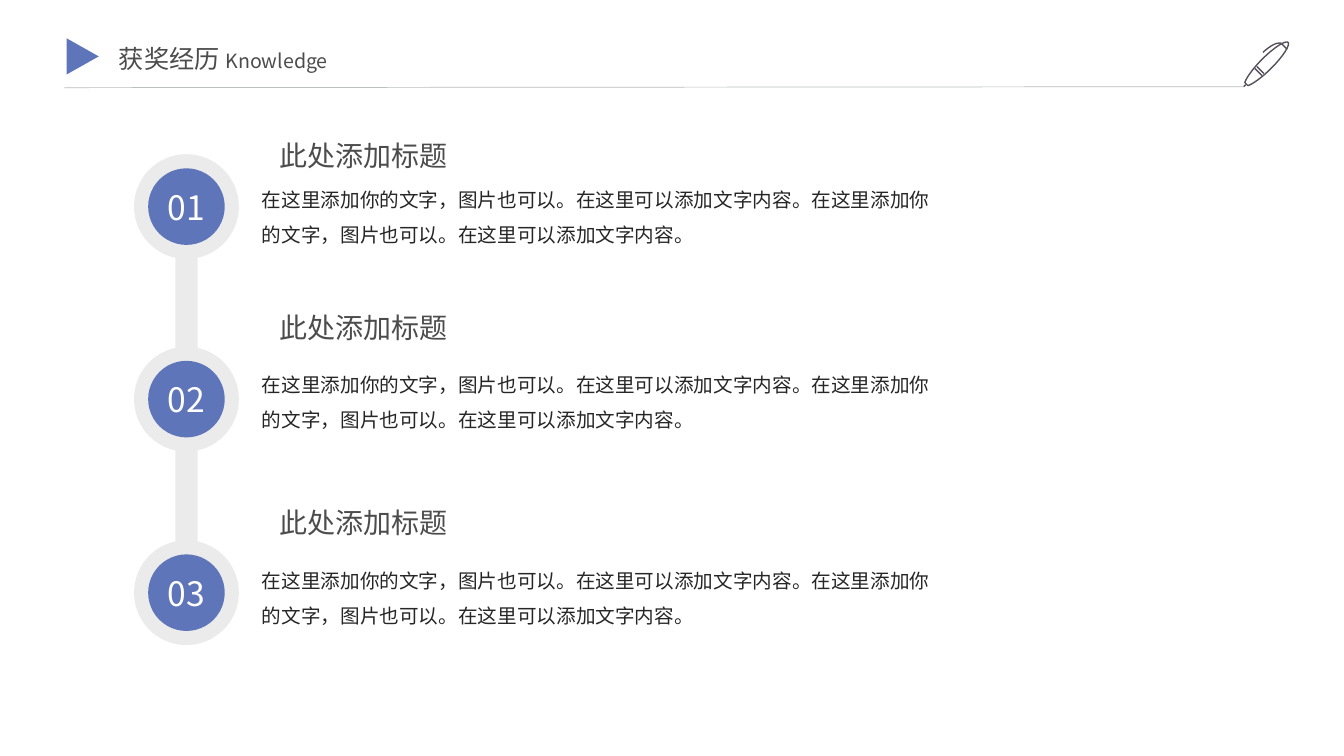
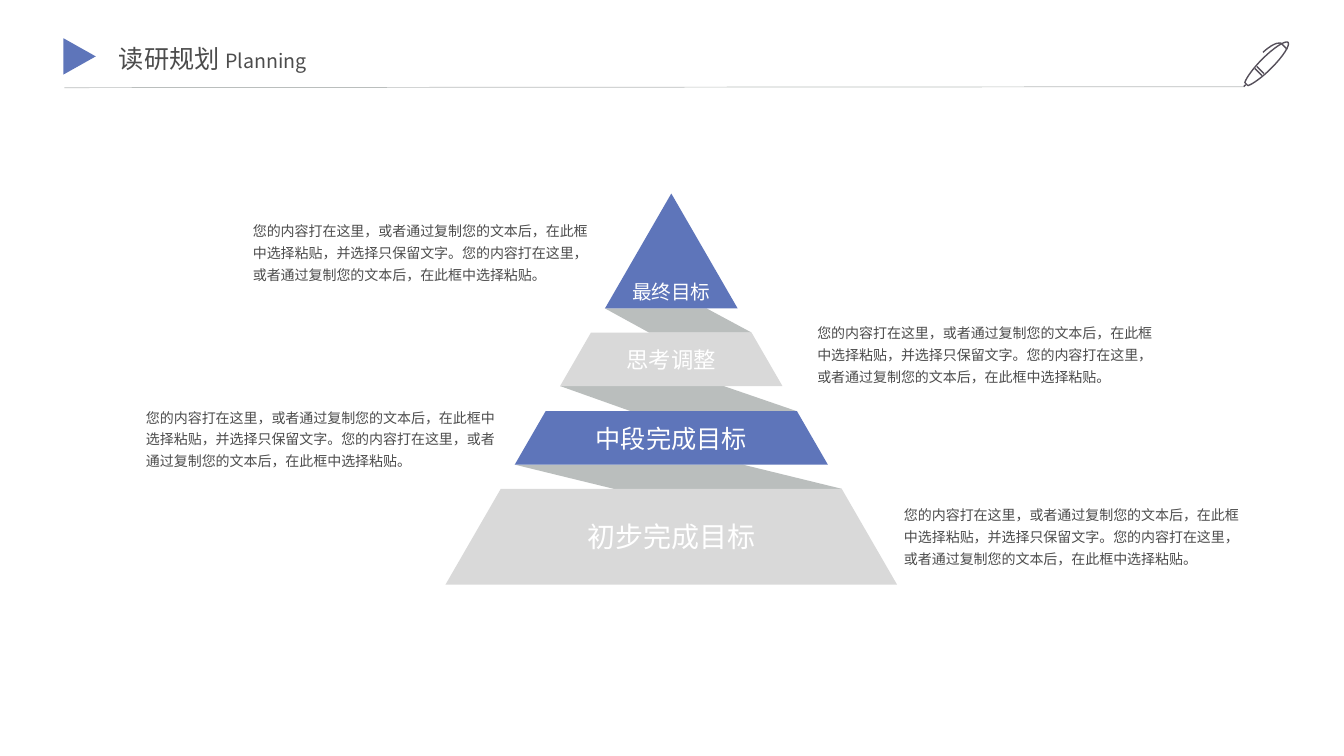
import math
from dataclasses import dataclass

import lxml.etree
import pptx
import pptx.dml.color
import pptx.enum.shapes
import pptx.enum.text
import pptx.oxml.ns
import pptx.util

Inches = pptx.util.Inches
Pt = pptx.util.Pt
RGBColor = pptx.dml.color.RGBColor
PP_ALIGN = pptx.enum.text.PP_ALIGN
ANCHOR = pptx.enum.text.MSO_ANCHOR
SHAPE = pptx.enum.shapes.MSO_SHAPE
qn = pptx.oxml.ns.qn

FONT = "Noto Sans CJK SC"
BLUE = RGBColor(0x5E, 0x75, 0xBA)
LIGHT_GRAY = RGBColor(0xD9, 0xD9, 0xD9)
RIBBON_GRAY = RGBColor(0xBA, 0xBE, 0xBD)
PEN_GRAY = RGBColor(0x56, 0x50, 0x5B)
TITLE_GRAY = RGBColor(0x4C, 0x4C, 0x4C)
BODY_GRAY = RGBColor(0x26, 0x26, 0x26)
WHITE = RGBColor(0xFF, 0xFF, 0xFF)

Point = tuple[float, float]


@dataclass(frozen=True)
class Contour:
    """A start point, then three points for each cubic curve."""
    points: list[Point]
    closed: bool = False


def straight(start: Point, end: Point) -> Contour:
    return Contour([start, end, end, end])


PEN = [
    straight((12.52, 0.75), (12.45, 0.68)),
    straight((12.47, 0.66), (12.54, 0.73)),
    Contour([
        (12.78, 0.42),
        (12.75, 0.4), (12.64, 0.47), (12.52, 0.59),
        (12.43, 0.68), (12.36, 0.78), (12.35, 0.82),
        (12.38, 0.85), (12.38, 0.85), (12.38, 0.85),
        (12.42, 0.84), (12.52, 0.77), (12.61, 0.68),
        (12.73, 0.56), (12.8, 0.45), (12.78, 0.42),
    ], closed=True),
    straight((12.36, 0.84), (12.34, 0.86)),
    Contour([
        (12.77, 0.49),
        (12.77, 0.49), (12.74, 0.46), (12.71, 0.43),
        (12.71, 0.43), (12.66, 0.4), (12.53, 0.52),
    ]),
]

AWARD_HEADING = "此处添加标题"
AWARD_TEXT = "在这里添加你的文字，图片也可以。在这里可以添加文字内容。" * 2
GOAL_TEXT = (
    "您的内容打在这里，或者通过复制您的文本后，在此框中选择粘贴，并选择只保留文字。"
    "您的内容打在这里，或者通过复制您的文本后，在此框中选择粘贴。"
)

TIMELINE_X = 1.85
RING_RADIUS = 0.52
DISC_SIZE = 0.76
BAR_HALF = 0.11

APEX_X, APEX_Y = 6.66, 1.92
PYRAMID_SLOPE = math.tan(math.radians(30))


@dataclass(frozen=True)
class Award:
    number: str
    center_y: float
    heading_top: float
    text_top: float


@dataclass(frozen=True)
class Goal:
    label: str
    top: float
    bottom: float
    size: int
    color: RGBColor
    anchor: ANCHOR
    note_box: tuple[float, float, float]


@dataclass(frozen=True)
class Fold:
    """Inner corners of the ribbon between two tiers."""
    upper_x: float
    lower_x: float


AWARDS = [
    Award("01", 2.05, 1.32, 1.7),
    Award("02", 3.96, 3.03, 3.53),
    Award("03", 5.88, 4.97, 5.48),
]
GOALS = [
    Goal("最终目标", 1.92, 3.06, 14, BLUE, ANCHOR.BOTTOM, (2.41, 2.11, 3.62)),
    Goal("思考调整", 3.3, 3.83, 16, LIGHT_GRAY, ANCHOR.MIDDLE, (8.01, 3.12, 3.61)),
    Goal("中段完成目标", 4.08, 4.61, 18, BLUE, ANCHOR.MIDDLE, (1.35, 3.96, 3.66)),
    Goal("初步完成目标", 4.85, 5.8, 20, LIGHT_GRAY, ANCHOR.MIDDLE, (8.87, 4.93, 3.54)),
]
FOLDS = [Fold(7.01, 6.44), Fold(7.18, 6.26), Fold(7.37, 6.09)]


def apply_format(target, values: dict) -> None:
    for name, value in values.items():
        setattr(target, name, value)


def add_run(paragraph, text: str, size: float, color: RGBColor) -> None:
    run = paragraph.add_run()
    run.text = text
    run.font.color.rgb = color
    apply_format(run.font, {"name": FONT, "size": Pt(size), "bold": False})
    east_asian = lxml.etree.SubElement(run.font._element, qn("a:ea"))
    east_asian.set("typeface", FONT)


def write(shape, text: str, size: float, color: RGBColor, frame: dict, paragraph: dict) -> None:
    apply_format(shape.text_frame, {"word_wrap": True, **frame})
    first = shape.text_frame.paragraphs[0]
    apply_format(first, paragraph)
    add_run(first, text, size, color)


def add_text(slide, box: tuple[float, float, float, float], text: str, size: float,
             color: RGBColor, frame: dict, paragraph: dict) -> None:
    write(slide.shapes.add_textbox(*map(Inches, box)), text, size, color, frame, paragraph)


def fill_plain(shape, color: RGBColor) -> None:
    shape.shadow.inherit = False
    shape.fill.solid()
    shape.fill.fore_color.rgb = color
    shape.line.fill.background()


def add_outline(slide, contours: list[Contour]):
    builder = None
    for contour in contours:
        start, *others = [(Inches(x), Inches(y)) for x, y in contour.points]
        if builder is None:
            builder = slide.shapes.build_freeform(*start)
        else:
            builder.move_to(*start)
        builder.add_line_segments(others, close=contour.closed)
    return builder.convert_to_shape()


def add_polygon(slide, corners: list[Point], color: RGBColor):
    polygon = add_outline(slide, [Contour(corners, closed=True)])
    fill_plain(polygon, color)
    return polygon


def add_curves(slide, contours: list[Contour]):
    """Draw an outline whose segments, three by three, become cubic curves."""
    outline = add_outline(slide, contours)
    segments = list(outline.element.spPr.iter(qn("a:lnTo")))
    for index in range(0, len(segments), 3):
        first, *rest = segments[index:index + 3]
        first.tag = qn("a:cubicBezTo")
        for segment in rest:
            first.append(segment[0])
            segment.getparent().remove(segment)
    return outline


def add_pen(slide) -> None:
    pen = add_curves(slide, PEN)
    pen.shadow.inherit = False
    pen.fill.background()
    pen.line.color.rgb = PEN_GRAY
    pen.line.width = Pt(1)


def add_header(deck, title: str, subtitle: str, width: float, marker_left: float):
    """Add a slide with its title, rule, pen and marker."""
    slide = deck.slides.add_slide(deck.slide_layouts[5])
    heading = slide.shapes.title
    apply_format(heading, {"left": Inches(1.08), "top": Inches(0.38),
                           "width": Inches(width), "height": Inches(0.4)})
    write(heading, title + " ", 18, TITLE_GRAY,
          {"auto_size": pptx.enum.text.MSO_AUTO_SIZE.NONE, "vertical_anchor": ANCHOR.TOP},
          {"alignment": PP_ALIGN.LEFT})
    add_run(heading.text_frame.paragraphs[0], subtitle, 14, TITLE_GRAY)

    rule = slide.shapes.add_connector(
        pptx.enum.shapes.MSO_CONNECTOR.STRAIGHT,
        *map(Inches, (0.64, 0.87, 12.34, 0.86)))
    rule.line.color.rgb = RIBBON_GRAY
    rule.line.width = Pt(0.5)
    lxml.etree.SubElement(rule.element.spPr, qn("a:effectLst"))

    add_pen(slide)
    marker = slide.shapes.add_shape(
        SHAPE.ISOSCELES_TRIANGLE, *map(Inches, (marker_left, 0.4, 0.36, 0.32)))
    marker.rotation = 90
    fill_plain(marker, BLUE)
    return slide


def arc(center_y: float, begin: float, end: float) -> list[Point]:
    """Four cubic points of a ring arc, with angles running clockwise from the top."""
    handle = 4 / 3 * math.tan((end - begin) / 4)

    def ring_point(angle: float, pull: float) -> Point:
        x = math.sin(angle) + pull * math.cos(angle)
        y = -math.cos(angle) + pull * math.sin(angle)
        return RING_RADIUS * x, center_y + RING_RADIUS * y

    return [ring_point(begin, 0), ring_point(begin, handle),
            ring_point(end, -handle), ring_point(end, 0)]


def timeline_outline(centers: list[float]) -> Contour:
    """Rings joined by bars: the right half, then its mirror image."""
    joint = math.asin(BAR_HALF / RING_RADIUS)
    half: list[Point] = []
    for index, center in enumerate(centers):
        begin = joint if index else 0
        end = math.pi - joint if index < len(centers) - 1 else math.pi
        upper = arc(center, begin, math.pi / 2)
        if half:
            half += [half[-1], upper[0]]
        half += upper + arc(center, math.pi / 2, end)[1:]
    right = [(TIMELINE_X + x, y) for x, y in half]
    left = [(TIMELINE_X - x, y) for x, y in reversed(half)]
    return Contour(right + left[1:], closed=True)


def add_awards(deck) -> None:
    slide = add_header(deck, "获奖经历", "Knowledge", 2.37, 0.64)
    track = add_curves(slide, [timeline_outline([award.center_y for award in AWARDS])])
    fill_plain(track, LIGHT_GRAY)
    track_color = track.element.spPr.find(".//" + qn("a:srgbClr"))
    lxml.etree.SubElement(track_color, qn("a:alpha")).set("val", "50000")

    no_margins = {f"margin_{side}": 0 for side in ("left", "top", "right", "bottom")}
    for award in AWARDS:
        disc = slide.shapes.add_shape(SHAPE.OVAL, *map(Inches, (
            TIMELINE_X - DISC_SIZE / 2, award.center_y - DISC_SIZE / 2, DISC_SIZE, DISC_SIZE)))
        fill_plain(disc, BLUE)
        write(disc, award.number, 24, WHITE,
              {"vertical_anchor": ANCHOR.MIDDLE, **no_margins}, {"alignment": PP_ALIGN.CENTER})
    for award in AWARDS:
        add_text(slide, (2.5, award.text_top, 6.83, 0.81), AWARD_TEXT, 14, BODY_GRAY,
                 {}, {"line_spacing": 1.5})
        add_text(slide, (2.67, award.heading_top, 1.87, 0.44), AWARD_HEADING, 20, TITLE_GRAY,
                 {"word_wrap": False}, {"alignment": PP_ALIGN.CENTER})


def pyramid_edges(y: float) -> Point:
    """Left and right x of the pyramid at height y."""
    half = (y - APEX_Y) * PYRAMID_SLOPE
    return APEX_X - half, APEX_X + half


def add_plan(deck) -> None:
    slide = add_header(deck, "读研规划", "Planning", 2.1, 0.61)
    for upper, lower, fold in zip(GOALS, GOALS[1:], FOLDS):
        add_polygon(slide, [
            (pyramid_edges(upper.bottom)[0], upper.bottom),
            (fold.upper_x, upper.bottom),
            (pyramid_edges(lower.top)[1], lower.top),
            (fold.lower_x, lower.top),
        ], RIBBON_GRAY)
    for goal in GOALS:
        add_text(slide, (*goal.note_box, 0.76), GOAL_TEXT, 10, TITLE_GRAY,
                 {}, {"line_spacing": 1.3})
        top_left, top_right = pyramid_edges(goal.top)
        bottom_left, bottom_right = pyramid_edges(goal.bottom)
        summit = [(top_left, goal.top)]
        if top_right > top_left:
            summit.append((top_right, goal.top))
        tier = add_polygon(
            slide, [(bottom_left, goal.bottom), *summit, (bottom_right, goal.bottom)], goal.color)
        write(tier, goal.label, goal.size, WHITE,
              {"vertical_anchor": goal.anchor}, {"alignment": PP_ALIGN.CENTER})


def main() -> None:
    deck = pptx.Presentation()
    deck.slide_width = Inches(40 / 3)
    deck.slide_height = Inches(7.5)
    add_awards(deck)
    add_plan(deck)
    deck.save("out.pptx")


if __name__ == "__main__":
    main()
